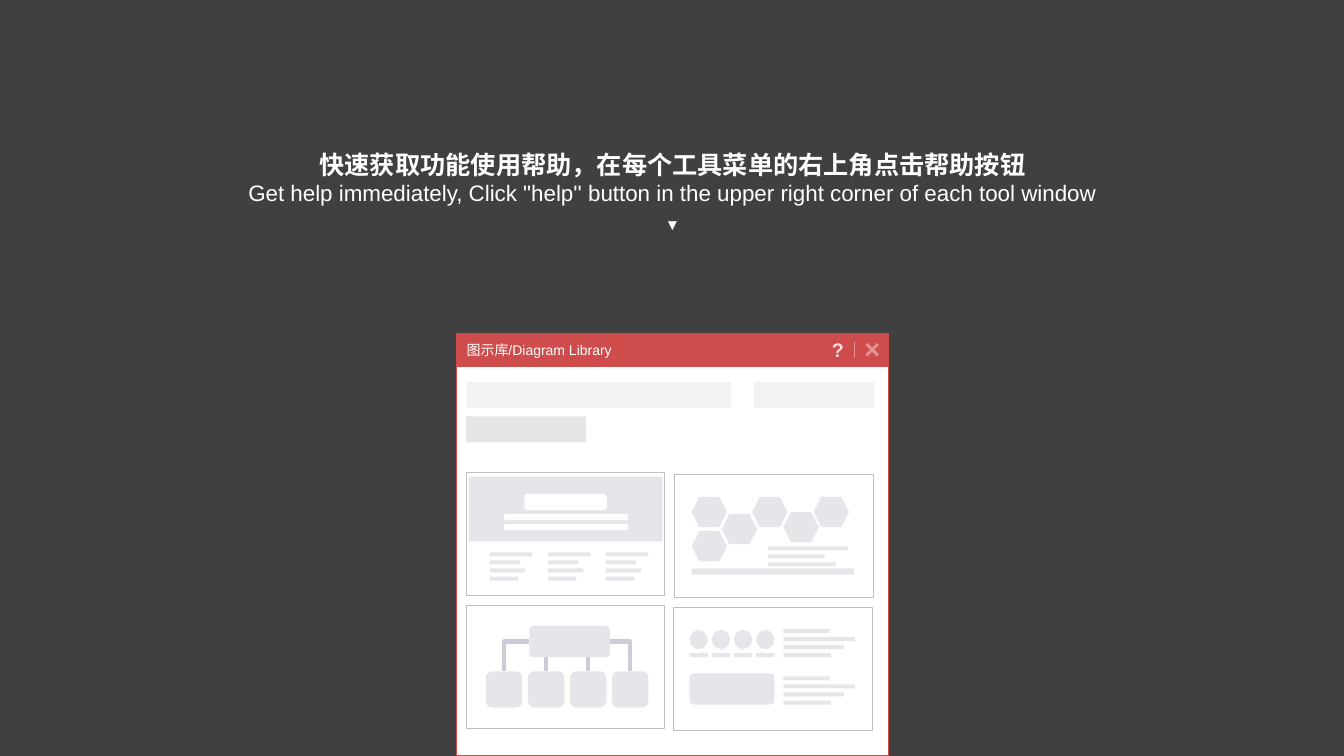
from lxml import etree
from pptx import Presentation
from pptx.dml.color import RGBColor
from pptx.enum.shapes import MSO_CONNECTOR, MSO_SHAPE
from pptx.enum.text import MSO_ANCHOR, MSO_AUTO_SIZE, PP_ALIGN
from pptx.oxml.ns import qn
from pptx.util import Inches, Pt

RECT, ROUND = MSO_SHAPE.RECTANGLE, MSO_SHAPE.ROUNDED_RECTANGLE
OVAL, HEXAGON = MSO_SHAPE.OVAL, MSO_SHAPE.HEXAGON
CROSS = MSO_SHAPE.MATH_MULTIPLY
STRAIGHT, ELBOW = MSO_CONNECTOR.STRAIGHT, MSO_CONNECTOR.ELBOW
MIDDLE, TOP = MSO_ANCHOR.MIDDLE, MSO_ANCHOR.TOP
CENTER, LEFT = PP_ALIGN.CENTER, PP_ALIGN.LEFT
GROW = MSO_AUTO_SIZE.SHAPE_TO_FIT_TEXT

DARK = RGBColor(0x40, 0x40, 0x40)
WHITE = RGBColor(0xFF, 0xFF, 0xFF)
RED = RGBColor(0xCE, 0x4C, 0x4B)
PINK = RGBColor(0xE2, 0x94, 0x93)
PALE_PINK = RGBColor(0xF5, 0xDB, 0xDB)
FIELD = RGBColor(0xF2, 0xF2, 0xF2)
TAB = RGBColor(0xE7, 0xE6, 0xE6)
BORDER = RGBColor(0xBF, 0xBF, 0xBF)
LILAC = RGBColor(0xE7, 0xE5, 0xEA)
LINK = RGBColor(0xCF, 0xCB, 0xD6)

HEADING = [
    ("快速获取功能使用帮助，在每个工具菜单的右上角点击帮助按钮", 18, True),
    ("Get help immediately, Click \"help'' button in the upper right corner of each tool window", 16, False),
    ("▼", 11, False),
]


def add_shape(s, kind, x, y, w, h, fill=LILAC, line=None, width=1, adj=None):
    sp = s.shapes.add_shape(kind, Inches(x), Inches(y), Inches(w), Inches(h))
    sp.shadow.inherit = False
    if fill is None:
        sp.fill.background()
    else:
        sp.fill.solid()
        sp.fill.fore_color.rgb = fill
    if line is None:
        sp.line.fill.background()
    else:
        sp.line.color.rgb = line
        sp.line.width = Pt(width)
    if adj is not None:
        sp.adjustments[0] = adj
    return sp


def add_line(s, kind, x1, y1, x2, y2, color, width):
    c = s.shapes.add_connector(kind, Inches(x1), Inches(y1), Inches(x2), Inches(y2))
    c.line.color.rgb = color
    c.line.width = Pt(width)
    sp_pr = c._element.spPr
    etree.SubElement(sp_pr, qn("a:effectLst"))
    if kind == ELBOW:
        sp_pr.find(qn("a:prstGeom")).set("prst", "bentConnector2")
    return c


def style_run(p, size, color, bold=False):
    for r in p.runs:
        r.font.name = "Arial"
        r.font.size = Pt(size)
        r.font.bold = bold
        r.font.color.rgb = color


def label(sp, text, size, color, align, bold=False):
    tf = sp.text_frame
    tf.text = text
    tf.vertical_anchor = MIDDLE
    p = tf.paragraphs[0]
    p.alignment = align
    style_run(p, size, color, bold)


def add_heading(s):
    sp = s.shapes.title
    sp.left, sp.top = Inches(1.21), Inches(1.43)
    sp.width, sp.height = Inches(10.92), Inches(0.95)
    tf = sp.text_frame
    tf.word_wrap = True
    tf.auto_size = GROW
    tf.vertical_anchor = TOP
    tf.text = "\n".join(text for text, size, bold in HEADING)
    for p, (text, size, bold) in zip(tf.paragraphs, HEADING):
        p.alignment = CENTER
        style_run(p, size, WHITE, bold)
    tf.paragraphs[-1].line_spacing = 1.5


def add_window(s):
    add_shape(s, RECT, 4.53, 3.31, 4.28, 4.19, WHITE, RED)
    bar = add_shape(s, RECT, 4.53, 3.31, 4.28, 0.32, RED, RED)
    label(bar, "图示库/Diagram Library", 10, WHITE, LEFT)
    add_shape(s, CROSS, 8.54, 3.36, 0.22, 0.22, PINK, adj=0.133)
    mark = add_shape(s, OVAL, 8.21, 3.38, 0.2, 0.17, None)
    tf = mark.text_frame
    tf.margin_left = tf.margin_right = tf.margin_top = tf.margin_bottom = 0
    tf.word_wrap = False
    label(mark, "?", 14, PALE_PINK, CENTER, True)
    add_line(s, STRAIGHT, 8.47, 3.39, 8.47, 3.55, PINK, 0.5)
    add_shape(s, RECT, 4.63, 3.79, 2.62, 0.26, FIELD)
    add_shape(s, RECT, 7.48, 3.79, 1.19, 0.26, FIELD)
    add_shape(s, RECT, 4.62, 4.13, 1.19, 0.26, TAB)


def add_card(s, x, y):
    add_shape(s, ROUND, x, y, 1.97, 1.22, WHITE, BORDER, 0.25, 0)


def add_bars(s, x, y, widths, step=0.08):
    for i, w in enumerate(widths):
        add_shape(s, ROUND, x, y + i * step, w, 0.04, adj=0.131)


def add_banner_card(s):
    add_card(s, 4.62, 4.68)
    add_shape(s, ROUND, 4.65, 4.73, 1.92, 0.64, adj=0)
    for x, y, w, h in [(5.2, 4.9, 0.82, 0.16), (5, 5.1, 1.23, 0.06), (5, 5.2, 1.23, 0.06)]:
        add_shape(s, ROUND, x, y, w, h, WHITE, adj=0.226)
    for i in range(3):
        add_bars(s, 4.86 + i * 0.575, 5.48, [0.42, 0.3, 0.35, 0.28])


def add_hexagon_card(s):
    add_card(s, 6.69, 4.7)
    for x, y in [(6.86, 4.93), (7.16, 5.1), (7.46, 4.93), (6.86, 5.27), (7.77, 5.08), (8.07, 4.93)]:
        add_shape(s, HEXAGON, x, y, 0.35, 0.3)
    add_bars(s, 7.62, 5.42, [0.79, 0.56, 0.67])
    add_shape(s, ROUND, 6.86, 5.64, 1.61, 0.06, adj=0.131)


def add_tree_card(s):
    add_card(s, 4.62, 6)
    root = add_shape(s, ROUND, 5.25, 6.21, 0.8, 0.31, adj=0.131)
    for i, side in enumerate([1, None, None, 3]):
        x = 4.82 + i * 0.417
        child = add_shape(s, ROUND, x, 6.66, 0.36, 0.36)
        center = x + 0.18
        if side is None:
            c = add_line(s, STRAIGHT, center, 6.52, center, 6.66, LINK, 3)
        else:
            c = add_line(s, ELBOW, 5.25 if side == 1 else 6.05, 6.37, center, 6.66, LINK, 3)
            c.begin_connect(root, side)
        c.end_connect(child, 0)


def add_people_card(s):
    add_card(s, 6.68, 6.02)
    for i in range(4):
        x = 6.84 + i * 0.22
        add_shape(s, OVAL, x, 6.25, 0.18, 0.19)
        add_shape(s, ROUND, x, 6.48, 0.18, 0.04)
    add_shape(s, ROUND, 6.84, 6.68, 0.84, 0.31, adj=0.131)
    for y in (6.24, 6.71):
        add_bars(s, 7.77, y, [0.46, 0.71, 0.6, 0.47])


def main():
    prs = Presentation()
    prs.slide_width, prs.slide_height = Inches(13.33), Inches(7.5)
    s = prs.slides.add_slide(prs.slide_layouts[5])
    s.background.fill.solid()
    s.background.fill.fore_color.rgb = DARK
    add_heading(s)
    add_window(s)
    add_tree_card(s)
    add_people_card(s)
    add_hexagon_card(s)
    add_banner_card(s)
    prs.save("out.pptx")


if __name__ == "__main__":
    main()
